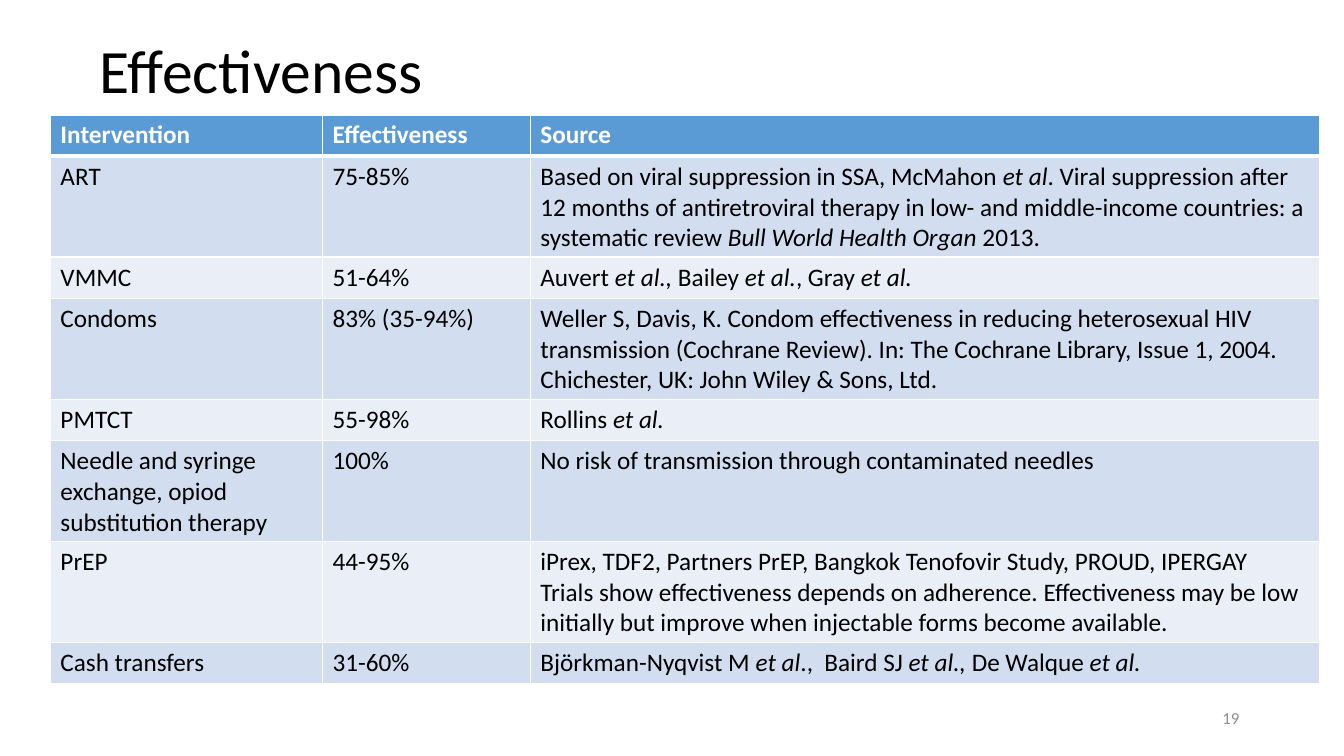
"""Builds the slide on the effectiveness of HIV interventions."""
from lxml import etree
from pptx import Presentation
from pptx import util as u
from pptx.dml.color import RGBColor
from pptx.enum import text
from pptx.oxml import ns

ROWS = [
    ("Intervention", "Effectiveness", "Source"),
    ("ART", "75-85%",
     "Based on viral suppression in SSA, McMahon *et al*. Viral suppression after "
     "12 months of antiretroviral therapy in low- and middle-income countries: "
     "a systematic review *Bull World Health Organ *2013."),
    ("VMMC", "51-64%", "Auvert *et al., *Bailey *et al.*, Gray *et al.*"),
    ("Condoms", "83% (35-94%)",
     "Weller S, Davis, K. Condom effectiveness in reducing heterosexual HIV "
     "transmission (Cochrane Review). In: The Cochrane Library, Issue 1, 2004. "
     "Chichester, UK: John Wiley & Sons, Ltd."),
    ("PMTCT", "55-98%", "Rollins *et al.*"),
    ("Needle and syringe exchange, opiod substitution therapy", "100%",
     "No risk of transmission through contaminated needles"),
    ("PrEP", "44-95%",
     "iPrex, TDF2, Partners PrEP, Bangkok Tenofovir Study, PROUD, IPERGAY\n"
     "Trials show effectiveness depends on adherence. Effectiveness may be low "
     "initially but improve when injectable forms become available."),
    ("Cash transfers", "31-60%",
     "Björkman-Nyqvist M *et al*.,  Baird SJ *et al., *De Walque *et al.*"),
]


def rgb(value):
    return RGBColor.from_string(value)


class Deck:
    """Holds the style and the current slide."""

    font = "Calibri"
    black, white, grey = "000000", "FFFFFF", "8C8C8C"
    header, bands = "5B9BD5", ("EAEFF7", "D2DEEF")

    def __init__(self, prs):
        self.s = prs.slides.add_slide(prs.slide_layouts[6])

    def add_runs(self, tf, content, size, color, bold=False):
        """Fills a text frame; asterisks switch italics on and off."""
        for i, line in enumerate(content.split("\n")):
            p = tf.add_paragraph() if i else tf.paragraphs[0]
            for j, part in enumerate(line.split("*")):
                if part:
                    r = p.add_run()
                    r.text = part
                    r.font.name, r.font.size = self.font, u.Pt(size)
                    r.font.bold, r.font.italic = bold, j % 2 == 1
                    r.font.color.rgb = rgb(color)

    def text(self, box, content, size, color, align=text.PP_ALIGN.LEFT, spacing=1.0):
        """Adds a vertically centred text box."""
        sp = self.s.shapes.add_textbox(*map(u.Inches, box))
        tf = sp.text_frame
        tf.word_wrap = True
        tf.vertical_anchor = text.MSO_ANCHOR.MIDDLE
        self.add_runs(tf, content, size, color)
        p = tf.paragraphs[0]
        p.alignment, p.line_spacing = align, spacing

    def border(self, cell, side, width):
        """Draws one white cell border."""
        tc_pr = cell._tc.get_or_add_tcPr()
        ln = etree.SubElement(tc_pr, ns.qn(f"a:ln{side}"), w=str(u.Pt(width)))
        fill = etree.SubElement(ln, ns.qn("a:solidFill"))
        etree.SubElement(fill, ns.qn("a:srgbClr"), val=self.white)

    def table(self, box, widths, row_height, rows):
        """Adds a banded table with a header row."""
        frame = self.s.shapes.add_table(len(rows), len(widths), *map(u.Inches, box))
        tbl = frame.table
        for column, width in zip(tbl.columns, widths):
            column.width = u.Inches(width)
        for i, row in enumerate(rows):
            tbl.rows[i].height = u.Inches(row_height)
            for j, content in enumerate(row):
                cell = tbl.cell(i, j)
                for side in "LRTB":
                    self.border(cell, side, 3 if (i, side) in ((0, "B"), (1, "T")) else 1)
                cell.fill.solid()
                cell.fill.fore_color.rgb = rgb(self.bands[i % 2] if i else self.header)
                self.add_runs(cell.text_frame, content, 18,
                              self.black if i else self.white, bold=i == 0)
        frame.height = u.Inches(box[3])


def main():
    prs = Presentation()
    prs.slide_width, prs.slide_height = u.Inches(13.33), u.Inches(7.5)
    deck = Deck(prs)
    deck.text((0.89, 0, 11.5, 1.45), "Effectiveness", 44, deck.black, spacing=0.9)
    deck.table((0.5, 1.14, 12.59, 5.62), (2.7, 2.06, 7.83), 0.41, ROWS)
    deck.text((9.39, 6.92, 3, 0.4), "19", 12, deck.grey, text.PP_ALIGN.RIGHT)
    prs.save("out.pptx")


if __name__ == "__main__":
    main()
